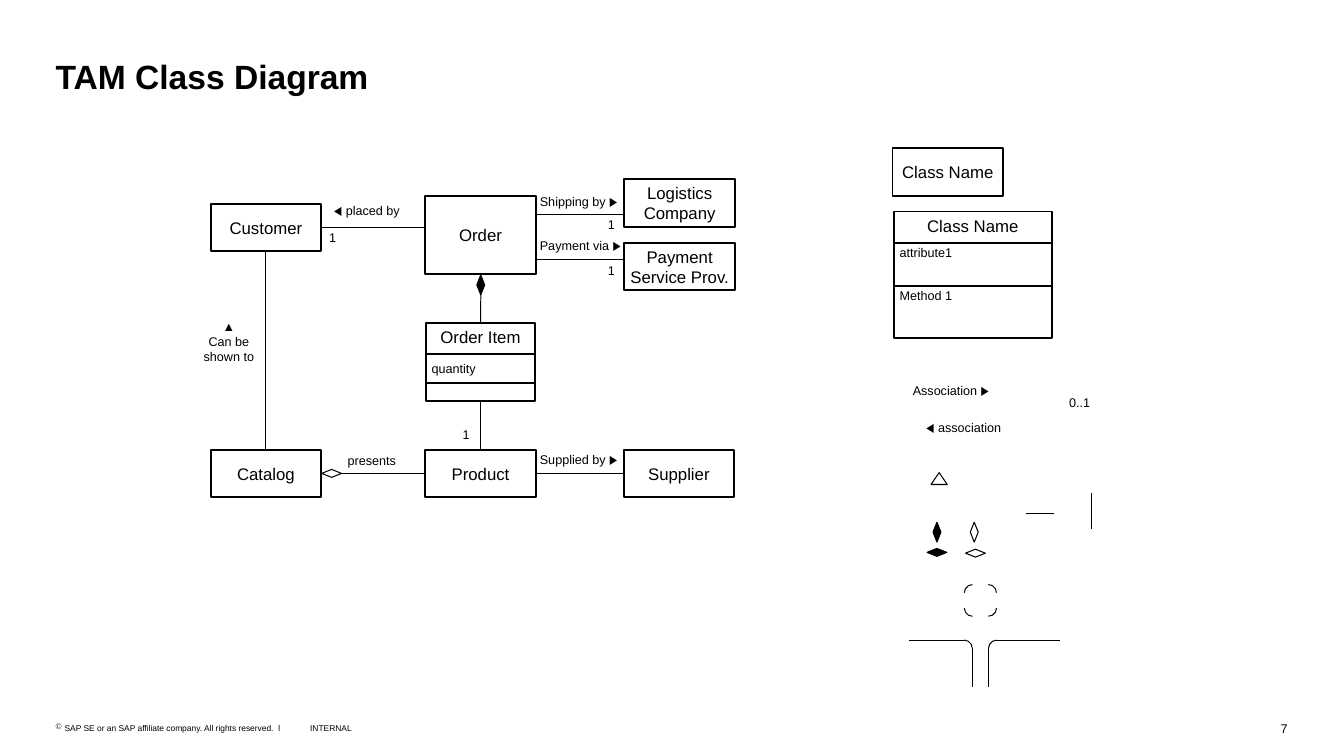
from lxml import etree
from pptx import Presentation
from pptx import util as u
from pptx.dml.color import RGBColor
from pptx.enum import shapes, text
from pptx.oxml.ns import qn

INK = {"black": "000000", "white": "FFFFFF"}
FONT = "Arial"
THIN, RULE, EDGE = 0.7, 1, 1.4
WIDE, HIGH = 2.79, 1.2
ARC = 0.41
MARK = (0.2, 0.5)
KIND = shapes.MSO_SHAPE
LEFT, MID, RIGHT = text.PP_ALIGN.LEFT, text.PP_ALIGN.CENTER, text.PP_ALIGN.RIGHT
TOP, CENTRE = text.MSO_ANCHOR.TOP, text.MSO_ANCHOR.MIDDLE

# Content, all lengths in cm
# Plain classes: name, left, top, height
PLAIN = [
    ("Class Name", 22.5, 3.73, HIGH),
    ("Customer", 5.31, 5.13, HIGH),
    ("Order", 10.72, 4.93, 1.98),
    ("Catalog", 5.31, 11.33, HIGH),
    ("Product", 10.72, 11.33, HIGH),
    ("Logistics Company", 15.74, 4.52, HIGH),
    ("Payment Service Prov.", 15.74, 6.12, HIGH),
    ("Supplier", 15.72, 11.33, HIGH),
]
# Split classes: name, box, rule heights, compartment texts, anchor
SPLIT = [
    ("Class Name", (22.53, 5.33, 3.99, 3.2), (6.12, 7.21),
     ("attribute1", "Method 1"), TOP),
    ("Order Item", (10.73, 8.13, 2.77, 1.98), (8.92, 9.65),
     ("quantity", ""), CENTRE),
]
# Each end is a point or a class name with its side
LINKS = [
    (("Customer", 3), (10.72, 5.73)),
    (("Catalog", 0), ("Customer", 2)),
    (("Order Item", 0), (12.12, 7.42)),
    (("Product", 0), ("Order Item", 2)),
    ((8.61, 11.93), ("Product", 1)),
    (("Product", 3), ("Supplier", 1)),
    ((13.51, 5.4), (15.74, 5.4)),
    ((13.51, 6.53), (15.74, 6.53)),
    ((25.86, 12.93), (26.57, 12.93)),
    ((27.51, 13.34), (27.51, 12.42)),
    ((22.91, 16.13), (24.31, 16.13)),
    ((24.51, 16.33), (24.51, 17.32)),
    ((24.92, 17.32), (24.92, 16.33)),
    ((26.72, 16.13), (25.12, 16.13)),
]
# Diamonds: centre, turn, fill
GEMS = [
    (12.12, 7.18, 0, "black"), (8.36, 11.93, 90, "white"),
    (23.62, 13.41, 0, "black"), (24.56, 13.41, 0, "white"),
    (23.62, 13.92, 90, "black"), (24.59, 13.94, 90, "white"),
]
# Arcs: left, top, turn
ARCS = [
    (24.71, 14.73, 0), (24.31, 14.73, 270),
    (24.71, 15.12, 90), (24.31, 15.12, 180),
    (24.92, 16.13, 270), (24.1, 16.13, 0),
]
# Labels: lines, left, top, width, height, alignment
LABELS = [
    (["◀ placed by"], 8.17, 4.98, 2.69, 0.63, LEFT),
    (["Shipping by ▶"], 13.36, 4.75, 2.69, 0.63, LEFT),
    (["Payment via ▶"], 13.36, 5.87, 2.69, 0.63, LEFT),
    (["Supplied by ▶"], 13.36, 11.25, 2.69, 0.63, LEFT),
    (["presents"], 8.03, 11.28, 2.69, 0.63, MID),
    (["▲", "Can be shown to"], 4.83, 7.9, 1.88, 1.42, MID),
    (["Association ▶"], 22.76, 9.53, 2.69, 0.63, LEFT),
    (["◀ association"], 23.1, 10.46, 2.69, 0.63, LEFT),
    (["0..1"], 26.7, 9.83, 1.12, 0.63, LEFT),
    (["1"], 8.05, 5.66, 1.12, 0.63, LEFT),
    (["1"], 14.63, 5.33, 1.12, 0.63, RIGHT),
    (["1"], 14.63, 6.5, 1.12, 0.63, RIGHT),
    (["1"], 10.97, 10.62, 1.12, 0.63, RIGHT),
]

deck = Presentation()
deck.slide_width, deck.slide_height = u.Cm(33.88), u.Cm(19.05)
slide = deck.slides.add_slide(deck.slide_layouts[5])
parts = slide.shapes


def cm(*nums):
    return [u.Cm(n) for n in nums]


def tint(name):
    return RGBColor.from_string(INK[name])


def write(shape, lines, size=9, bold=False, align=LEFT, anchor=TOP,
          inset=(0.25, 0.13, 0.25, 0.13), mark=None):
    frame = shape.text_frame
    frame.word_wrap = True
    frame.auto_size = text.MSO_AUTO_SIZE.NONE
    frame.vertical_anchor = anchor
    (frame.margin_left, frame.margin_top,
     frame.margin_right, frame.margin_bottom) = cm(*inset)
    for i, line in enumerate(lines):
        para = frame.add_paragraph() if i else frame.paragraphs[0]
        para.alignment = align
        if mark:
            props = para._p.get_or_add_pPr()
            props.set("marL", str(u.Cm(0.23)))
            props.set("indent", str(-u.Cm(0.23)))
            etree.SubElement(props, qn("a:buChar")).set("char", mark)
        run = para.add_run()
        run.text = line
        run.font.name, run.font.size, run.font.bold = FONT, u.Pt(size), bold
        run.font.color.rgb = tint("black")


def note(lines, box, **style):
    write(parts.add_textbox(*cm(*box)), lines, **style)


def draw(kind, box, fill="white", edge=0.75, turn=0):
    shape = parts.add_shape(kind, *cm(*box))
    shape.shadow.inherit = False
    shape.rotation = turn
    if fill:
        shape.fill.solid()
        shape.fill.fore_color.rgb = tint(fill)
    else:
        shape.fill.background()
    shape.line.color.rgb = tint("black")
    shape.line.width = u.Pt(edge)
    return shape


def link(start, end, width=THIN):
    named = [isinstance(tip[0], str) for tip in (start, end)]
    spots = [(0, 0) if name else tip for name, tip in zip(named, (start, end))]
    line = parts.add_connector(shapes.MSO_CONNECTOR.STRAIGHT,
                               *cm(*spots[0], *spots[1]))
    if named[0]:
        line.begin_connect(boxes[start[0]], start[1])
    if named[1]:
        line.end_connect(boxes[end[0]], end[1])
    line.line.color.rgb = tint("black")
    line.line.width = u.Pt(width)
    etree.SubElement(line._element.spPr, qn("a:effectLst"))


# Title
title = parts.title
title.left, title.top, title.width, title.height = cm(1.4, 1.4, 31.06, 1.02)
write(title, ["TAM Class Diagram"], size=24, bold=True, inset=(0, 0, 0, 0))

# Classes
boxes = {}
for name, left, top, height in PLAIN:
    boxes[name] = draw(KIND.RECTANGLE, (left, top, WIDE, height), edge=EDGE)
    write(boxes[name], [name], size=12, align=MID, anchor=CENTRE,
          inset=[0.1] * 4)

for name, box, rules, words, anchor in SPLIT:
    left, top, width, height = box
    boxes[name] = draw(KIND.RECTANGLE, box, edge=EDGE)
    write(boxes[name], [name], size=12, align=MID, inset=[0.1] * 4)
    ends = rules[1:] + (top + height,)
    for start, end, word in zip(rules, ends, words):
        link((left, start), (left + width, start), RULE)
        if word:
            note([word], (left, start, width, end - start), anchor=anchor,
                 inset=(0.15, 0.05, 0.1, 0.05))

# Lines and marks
for start, end in LINKS:
    link(start, end)
for x, y, turn, fill in GEMS:
    draw(KIND.DIAMOND, (x - MARK[0] / 2, y - MARK[1] / 2, *MARK), fill, turn=turn)
draw(KIND.ISOSCELES_TRIANGLE, (23.47, 11.91, 0.41, 0.3))
for left, top, turn in ARCS:
    draw(KIND.ARC, (left, top, ARC, ARC), None, THIN, turn)

# Labels
for lines, *box, align in LABELS:
    note(lines, box, align=align)

# Footer
note(["SAP SE or an SAP affiliate company. All rights reserved.  ǀ"],
     (1.4, 18.21, 6.3, 0.25), size=6, inset=(0, 0, 0, 0), mark="©")
note(["INTERNAL"], (7.82, 18.21, 1.3, 0.25), size=6, inset=(0, 0, 0, 0))
note(["7"], (32.08, 18.16, 0.38, 0.38), align=RIGHT, inset=(0, 0, 0, 0))

deck.save("out.pptx")
